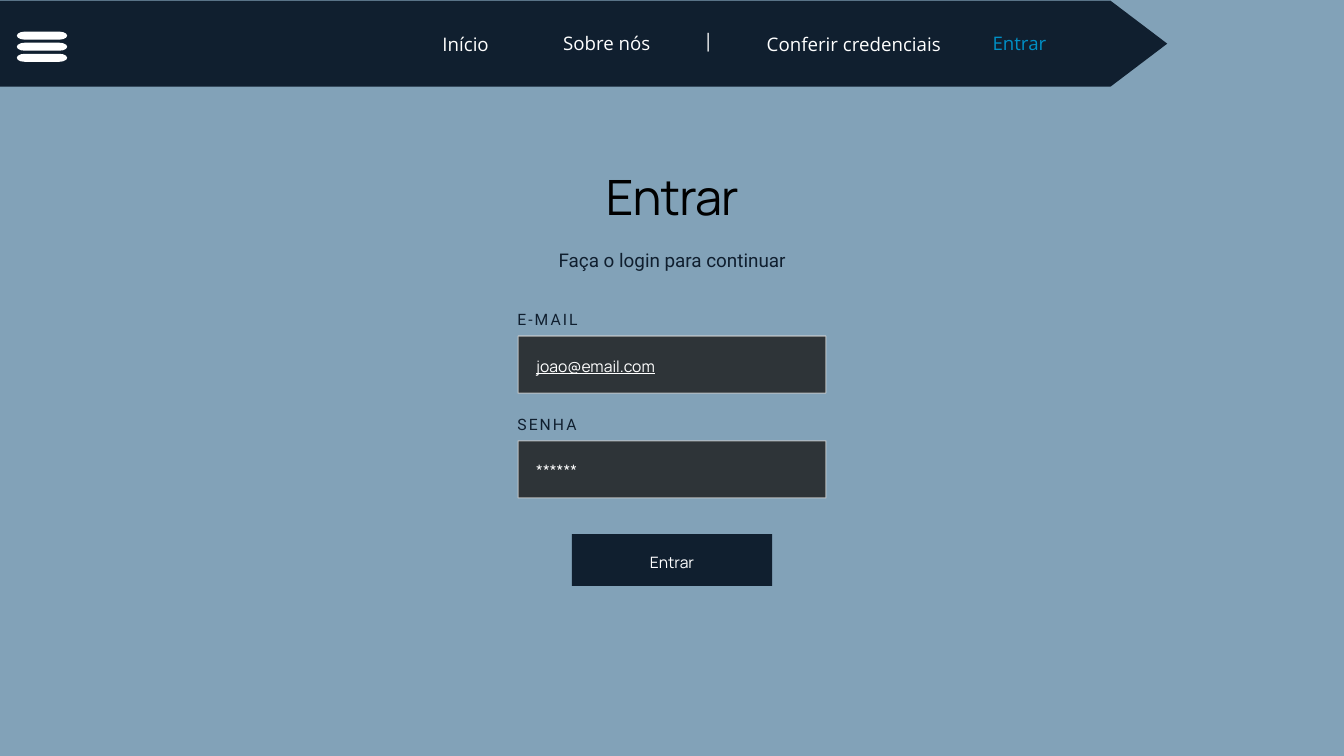
from lxml import etree
from pptx import Presentation
from pptx.dml.color import RGBColor
from pptx.enum.shapes import MSO_SHAPE as Shape
from pptx.enum.text import MSO_AUTO_SIZE as AutoSize, PP_ALIGN as Align
from pptx.oxml.ns import qn
from pptx.util import Inches, Pt

BACKGROUND = RGBColor(0x82, 0xA2, 0xB8)
NAVY = RGBColor(0x10, 0x1F, 0x2F)
WHITE = RGBColor(0xFF, 0xFF, 0xFF)
BLACK = RGBColor(0x00, 0x00, 0x00)
BLUE = RGBColor(0x00, 0x90, 0xC6)
FIELD_FILL = RGBColor(0x19, 0x19, 0x19)
FIELD_BORDER = RGBColor(0xD9, 0xD9, 0xD9)

NAV_ITEMS = [
    ("Início", 6.3, 0.44, 1.26, WHITE),
    ("Sobre nós", 8.38, 0.42, 1.3, WHITE),
    ("|", 9.89, 0.37, 1.3, WHITE),
    ("Conferir credenciais", 11.41, 0.44, 2.59, WHITE),
    ("Entrar", 14.77, 0.42, 0.8, BLUE),
]


def set_opacity(fill, percent):
    color = fill._xPr.find(qn("a:solidFill"))[0]
    etree.SubElement(color, qn("a:alpha")).set("val", str(percent * 1000))


def add_block(slide, kind, left, top, width, height, color):
    """Add a plain filled shape without line or shadow."""
    block = slide.shapes.add_shape(
        kind, Inches(left), Inches(top), Inches(width), Inches(height))
    block.shadow.inherit = False
    block.fill.solid()
    block.fill.fore_color.rgb = color
    block.line.fill.background()
    return block


def add_text(slide, text, left, top, width, height, *, size, font, color,
             leading, align=Align.LEFT, underline=None, spacing=0):
    box = slide.shapes.add_textbox(
        Inches(left), Inches(top), Inches(width), Inches(height))
    frame = box.text_frame
    frame.word_wrap = True
    frame.auto_size = AutoSize.SHAPE_TO_FIT_TEXT
    frame.margin_left = frame.margin_right = 0
    frame.margin_top = frame.margin_bottom = 0
    paragraph = frame.paragraphs[0]
    paragraph.alignment = align
    paragraph.line_spacing = Pt(leading)
    run = paragraph.add_run()
    run.text = text
    run.font.size = Pt(size)
    run.font.name = font
    run.font.color.rgb = color
    run.font.underline = underline
    if spacing:
        run._r.get_or_add_rPr().set("spc", str(round(spacing * 100)))


def add_navigation(slide):
    bar = add_block(slide, Shape.PENTAGON, 0, 0.01, 17.37, 1.28, NAVY)
    bar.adjustments[0] = 0.66
    for row in range(3):
        add_block(slide, Shape.FLOWCHART_TERMINATOR,
                  0.25, 0.47 + row * 0.165, 0.75, 0.12, WHITE)
    for label, left, top, width, color in NAV_ITEMS:
        add_text(slide, label, left, top, width, 0.38, size=20,
                 font="Open Sans", color=color, leading=28,
                 align=Align.CENTER)


def add_heading(slide):
    add_text(slide, "Entrar", 5.94, 2.62, 8.13, 0.78, size=52.1,
             font="Manrope", color=BLACK, leading=52.7,
             align=Align.CENTER, spacing=-0.9)
    add_text(slide, "Faça o login para continuar", 5.85, 3.63, 8.3, 0.37,
             size=20.2, font="Roboto", color=NAVY, leading=29.7,
             align=Align.CENTER)


def add_field(slide, label, value, top, underline=None):
    """Add a label with its translucent input box below it."""
    add_text(slide, label, 7.7, top, 4.6, 0.27, size=16.8, font="Roboto",
             color=NAVY, leading=20.2, spacing=2.2)
    field = add_block(slide, Shape.RECTANGLE,
                      7.71, top + 0.39, 4.58, 0.85, FIELD_FILL)
    set_opacity(field.fill, 80)
    field.line.color.rgb = FIELD_BORDER
    field.line.width = Pt(1.2)
    set_opacity(field.line.fill, 80)
    add_text(slide, value, 7.98, top + 0.63, 4.3, 0.31, size=16.8,
             font="Manrope", color=WHITE, leading=24.7, underline=underline)


def add_button(slide):
    add_block(slide, Shape.RECTANGLE, 8.51, 7.95, 2.98, 0.77, NAVY)
    add_text(slide, "Entrar", 8.51, 8.16, 2.98, 0.31, size=16.8,
             font="Manrope", color=WHITE, leading=24.7, align=Align.CENTER)


def main():
    deck = Presentation()
    deck.slide_width = Inches(20)
    deck.slide_height = Inches(11.25)
    slide = deck.slides.add_slide(deck.slide_layouts[6])
    slide.background.fill.solid()
    slide.background.fill.fore_color.rgb = BACKGROUND

    add_navigation(slide)
    add_heading(slide)
    add_field(slide, "E-MAIL", "joao@email.com", 4.61, underline=True)
    add_field(slide, "SENHA", "******", 6.17)
    add_button(slide)
    deck.save("out.pptx")


if __name__ == "__main__":
    main()
